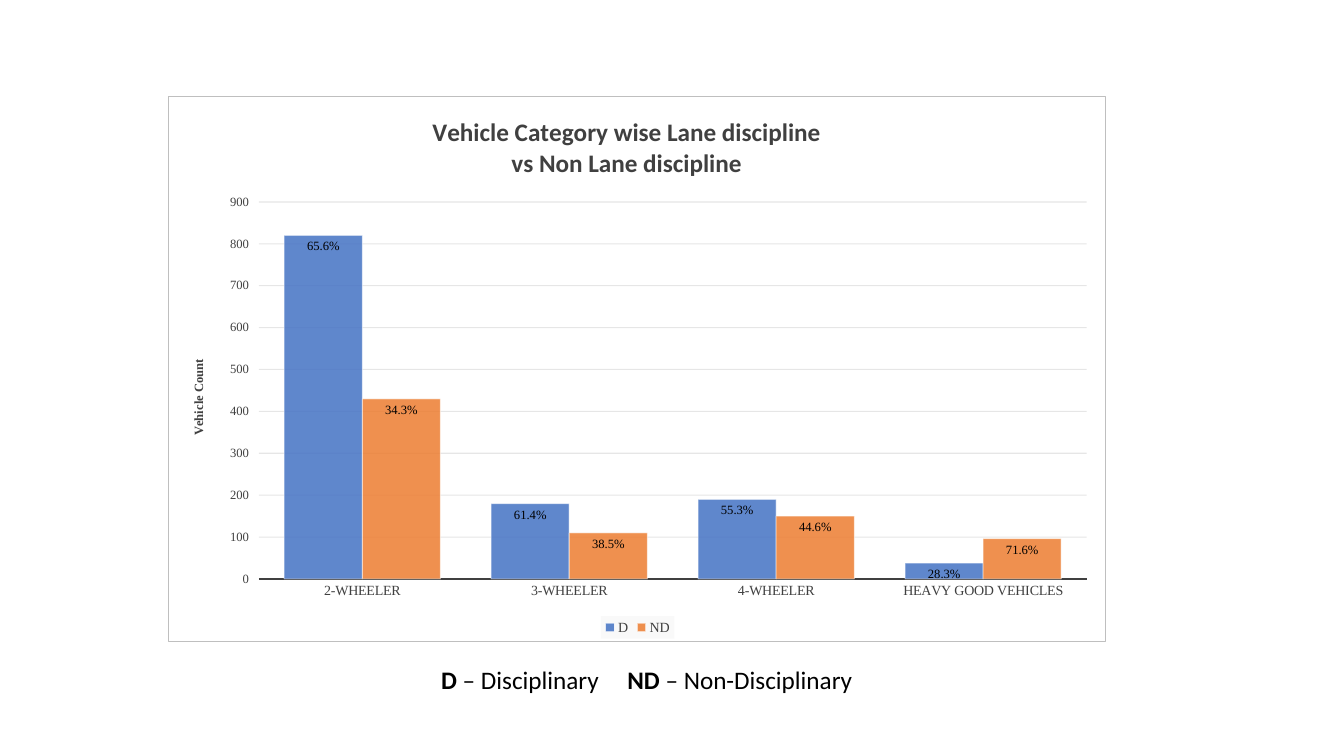
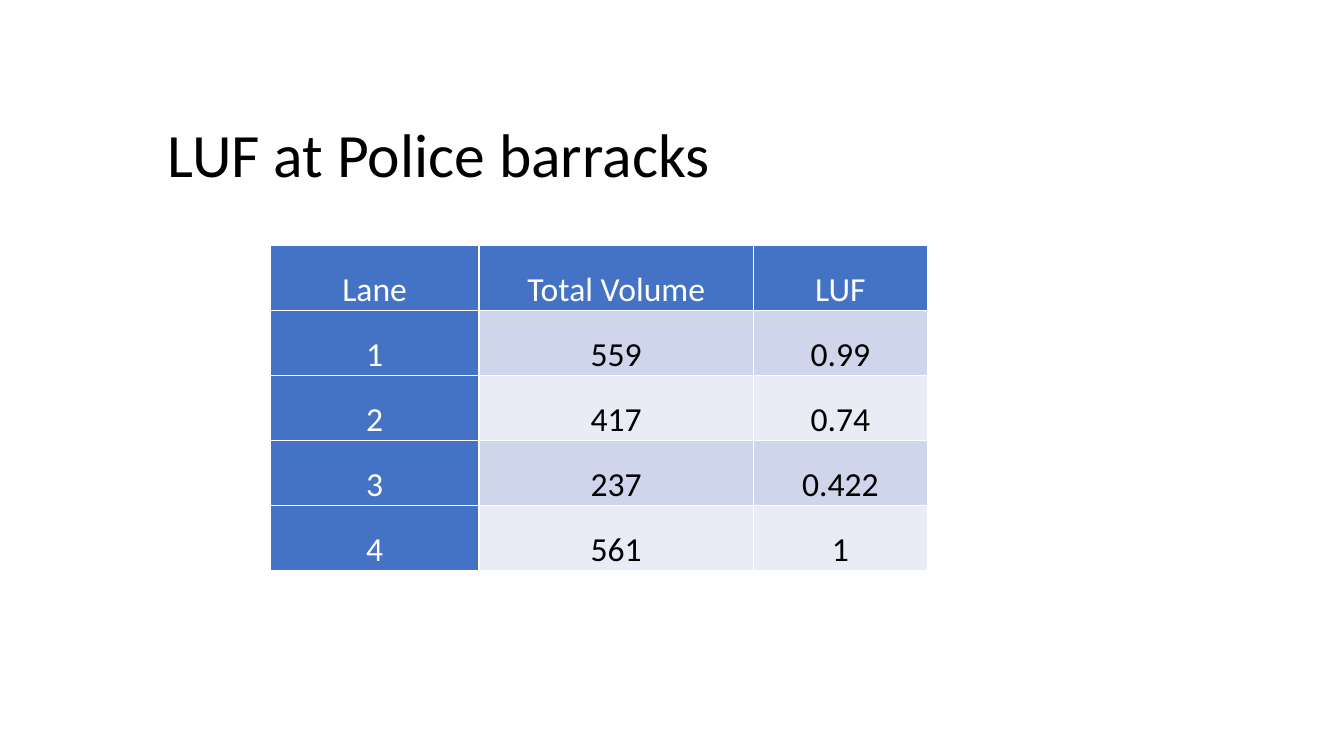
from dataclasses import dataclass

from lxml.etree import SubElement
from pptx import Presentation
from pptx.chart.data import CategoryChartData
from pptx.dml.color import RGBColor
from pptx.enum.chart import XL_CHART_TYPE, XL_LABEL_POSITION, XL_LEGEND_POSITION, XL_TICK_MARK
from pptx.enum.text import MSO_ANCHOR, PP_ALIGN
from pptx.oxml import parse_xml
from pptx.oxml.ns import nsdecls, qn
from pptx.util import Pt

COLORS = {
    "text": "000000",
    "white": "FFFFFF",
    "blue": "4472C4",
    "orange": "ED7D31",
    "axis": "404040",
    "grid": "0D0D0D",
    "frame": "BFBFBF",
    "legend": "F2F2F2",
    "band_dark": "CFD5EA",
    "band_light": "E9EBF5",
}
SANS = "Calibri"
SERIF = "Times New Roman"
CHART_WIDTH, CHART_HEIGHT = 669.6, 389.5


@dataclass(frozen=True)
class VehicleSeries:
    name: str
    counts: tuple[int, ...]
    shares: tuple[str, ...]
    color: str


@dataclass(frozen=True)
class LaneUse:
    lane: str
    volume: str
    factor: str


CATEGORIES = ("2-WHEELER", "3-WHEELER", "4-WHEELER", "HEAVY GOOD VEHICLES")
DISCIPLINE = (
    VehicleSeries("D", (820, 180, 190, 38), ("65.6%", "61.4%", "55.3%", "28.3%"), "blue"),
    VehicleSeries("ND", (430, 110, 150, 96), ("34.3%", "38.5%", "44.6%", "71.6%"), "orange"),
)
LANES = (
    LaneUse("Lane", "Total Volume", "LUF"),
    LaneUse("1", "559", "0.99"),
    LaneUse("2", "417", "0.74"),
    LaneUse("3", "237", "0.422"),
    LaneUse("4", "561", "1"),
)


def rgb(color: str) -> RGBColor:
    return RGBColor.from_string(COLORS[color])


def set_font(font, *, size: float, color: str = "text", bold: bool = False, face: str = SANS) -> None:
    font.size = Pt(size)
    font.bold = bold
    font.name = face
    font.color.rgb = rgb(color)


def add_text(paragraph, text: str, **style) -> None:
    run = paragraph.add_run()
    run.text = text
    set_font(run.font, **style)


def add_text_area(slide, left: float, top: float, width: float, height: float):
    frame = slide.shapes.add_textbox(Pt(left), Pt(top), Pt(width), Pt(height)).text_frame
    frame.word_wrap = True
    return frame.paragraphs[0]


def set_alpha(solid_fill, percent: int) -> None:
    SubElement(solid_fill.find(qn("a:srgbClr")), qn("a:alpha")).set("val", str(percent * 1000))


def set_layout(element, index: int, inner: bool = False, **box: float) -> None:
    for old in element.findall(qn("c:layout")):
        element.remove(old)
    target = '<c:layoutTarget val="inner"/>' if inner else ""
    modes = "".join(f'<c:{side}Mode val="edge"/>' for side in ("x", "y"))
    sizes = "".join(
        f'<c:{side} val="{value / (CHART_WIDTH if side in "xw" else CHART_HEIGHT)}"/>'
        for side, value in box.items()
    )
    element.insert(index, parse_xml(
        f'<c:layout {nsdecls("c")}><c:manualLayout>{target}{modes}{sizes}</c:manualLayout></c:layout>'
    ))


def style_series(plot_series, series: VehicleSeries) -> None:
    fill, line = plot_series.format.fill, plot_series.format.line
    fill.solid()
    fill.fore_color.rgb = rgb(series.color)
    line.width = Pt(0.75)
    line.color.rgb = rgb("white")
    properties = plot_series._element.find(qn("c:spPr"))
    set_alpha(properties.find(qn("a:solidFill")), 85)
    set_alpha(properties.find(qn("a:ln")).find(qn("a:solidFill")), 50)
    for index, share in enumerate(series.shares):
        label = plot_series.points[index].data_label
        add_text(label.text_frame.paragraphs[0], share, size=9, face=SERIF)
        label.position = XL_LABEL_POSITION.INSIDE_END


def style_axes(chart) -> None:
    categories, counts = chart.category_axis, chart.value_axis
    set_font(categories.tick_labels.font, size=10, color="axis", face=SERIF)
    categories.major_tick_mark = XL_TICK_MARK.NONE
    categories.format.line.width = Pt(1.5)
    categories.format.line.color.rgb = rgb("axis")
    set_font(counts.tick_labels.font, size=9, color="axis", face=SERIF)
    counts.minimum_scale, counts.maximum_scale, counts.major_unit = 0, 900, 100
    counts.format.line.fill.background()
    grid = counts.major_gridlines
    grid.format.line.width = Pt(0.75)
    grid.format.line.color.rgb = rgb("grid")
    set_alpha(next(counts._element.find(qn("c:majorGridlines")).iter(qn("a:solidFill"))), 10)
    title = counts.axis_title
    add_text(title.text_frame.paragraphs[0], "Vehicle Count", size=9, color="axis", bold=True, face=SERIF)
    set_layout(title._element, 1, x=13.7, y=186.2)


def add_legend(chart) -> None:
    chart.has_legend = True
    legend = chart.legend
    legend.position = XL_LEGEND_POSITION.BOTTOM
    legend.include_in_layout = False
    set_font(legend.font, size=10, color="axis", face=SERIF)
    set_layout(legend._element, 1, x=309, y=373.5, w=52.5, h=16)
    legend._element.find(qn("c:txPr")).addprevious(parse_xml(
        f'<c:spPr {nsdecls("c", "a")}><a:solidFill><a:srgbClr val="{COLORS["legend"]}">'
        '<a:alpha val="39000"/></a:srgbClr></a:solidFill></c:spPr>'
    ))


def add_discipline_chart(slide) -> None:
    data = CategoryChartData()
    data.categories = CATEGORIES
    for series in DISCIPLINE:
        data.add_series(series.name, series.counts)
    chart = slide.shapes.add_chart(
        XL_CHART_TYPE.COLUMN_CLUSTERED, Pt(120.2), Pt(68.8), Pt(CHART_WIDTH), Pt(CHART_HEIGHT), data
    ).chart
    set_font(chart.font, size=10, face=SERIF)
    chart.has_title = True
    heading = chart.chart_title.text_frame
    heading_lines = ("Vehicle Category wise Lane discipline", "vs Non Lane discipline")
    for index, line in enumerate(heading_lines):
        paragraph = heading.add_paragraph() if index else heading.paragraphs[0]
        add_text(paragraph, line, size=18, color="axis", bold=True)
    set_layout(chart.chart_title._element, 1, x=186.4, y=11.2)
    chart.chart_title.include_in_layout = False
    plot = chart.plots[0]
    plot.gap_width = 65
    plot.overlap = 0
    plot.vary_by_categories = False
    for plot_series, series in zip(plot.series, DISCIPLINE):
        style_series(plot_series, series)
    style_axes(chart)
    add_legend(chart)
    chart_root = chart._chartSpace.find(qn("c:chart"))
    set_layout(chart_root.find(qn("c:plotArea")), 0, inner=True, x=64.4, y=75.3, w=592, h=269.8)
    chart_root.addnext(parse_xml(
        f'<c:spPr {nsdecls("c", "a")}><a:solidFill><a:srgbClr val="{COLORS["white"]}"/></a:solidFill>'
        f'<a:ln w="{Pt(0.75)}"><a:solidFill><a:srgbClr val="{COLORS["frame"]}"/></a:solidFill></a:ln></c:spPr>'
    ))


def add_key(slide) -> None:
    key = add_text_area(slide, 308, 470.88, 311, 28.8)
    tabs = SubElement(key._p.get_or_add_pPr(), qn("a:tabLst"))
    SubElement(tabs, qn("a:tab"), pos=str(Pt(133)), algn="l")
    for text, bold in (("D", True), (" – Disciplinary\t", False), ("ND", True), (" – Non-Disciplinary", False)):
        add_text(key, text, size=18, bold=bold)


def style_cell(cell, text: str, fill: str, color: str) -> None:
    cell.fill.solid()
    cell.fill.fore_color.rgb = rgb(fill)
    cell.vertical_anchor = MSO_ANCHOR.BOTTOM
    cell.margin_left = cell.margin_right = Pt(5)
    cell.margin_top = cell.margin_bottom = Pt(0)
    paragraph = cell.text_frame.paragraphs[0]
    paragraph.alignment = PP_ALIGN.CENTER
    paragraph.line_spacing = 1.5
    add_text(paragraph, text, size=24, color=color)
    for index, side in enumerate(("lnL", "lnR", "lnT", "lnB")):
        cell._tc.get_or_add_tcPr().insert(index, parse_xml(
            f'<a:{side} {nsdecls("a")} w="{Pt(1)}"><a:solidFill>'
            f'<a:srgbClr val="{COLORS["white"]}"/></a:solidFill></a:{side}>'
        ))


def add_lane_table(slide) -> None:
    widths, row_height = (149.2, 195.8, 124.5), 46.5
    table = slide.shapes.add_table(
        len(LANES), len(widths), Pt(193), Pt(175), Pt(sum(widths)), Pt(row_height * len(LANES))
    ).table
    table.first_row = table.horz_banding = False
    for column, width in zip(table.columns, widths):
        column.width = Pt(width)
    for row, use in enumerate(LANES):
        table.rows[row].height = Pt(row_height)
        band = "band_dark" if row % 2 else "band_light"
        for column, text in enumerate((use.lane, use.volume, use.factor)):
            heading = row == 0 or column == 0
            style_cell(
                table.cell(row, column), text,
                "blue" if heading else band, "white" if heading else "text",
            )


def main() -> None:
    deck = Presentation()
    deck.slide_width, deck.slide_height = Pt(960), Pt(540)
    blank = deck.slide_layouts[6]
    discipline_slide = deck.slides.add_slide(blank)
    add_discipline_chart(discipline_slide)
    add_key(discipline_slide)
    lane_slide = deck.slides.add_slide(blank)
    add_text(add_text_area(lane_slide, 112.6, 79.2, 480, 60.5), "LUF at Police barracks", size=44)
    add_lane_table(lane_slide)
    deck.save("out.pptx")


if __name__ == "__main__":
    main()
